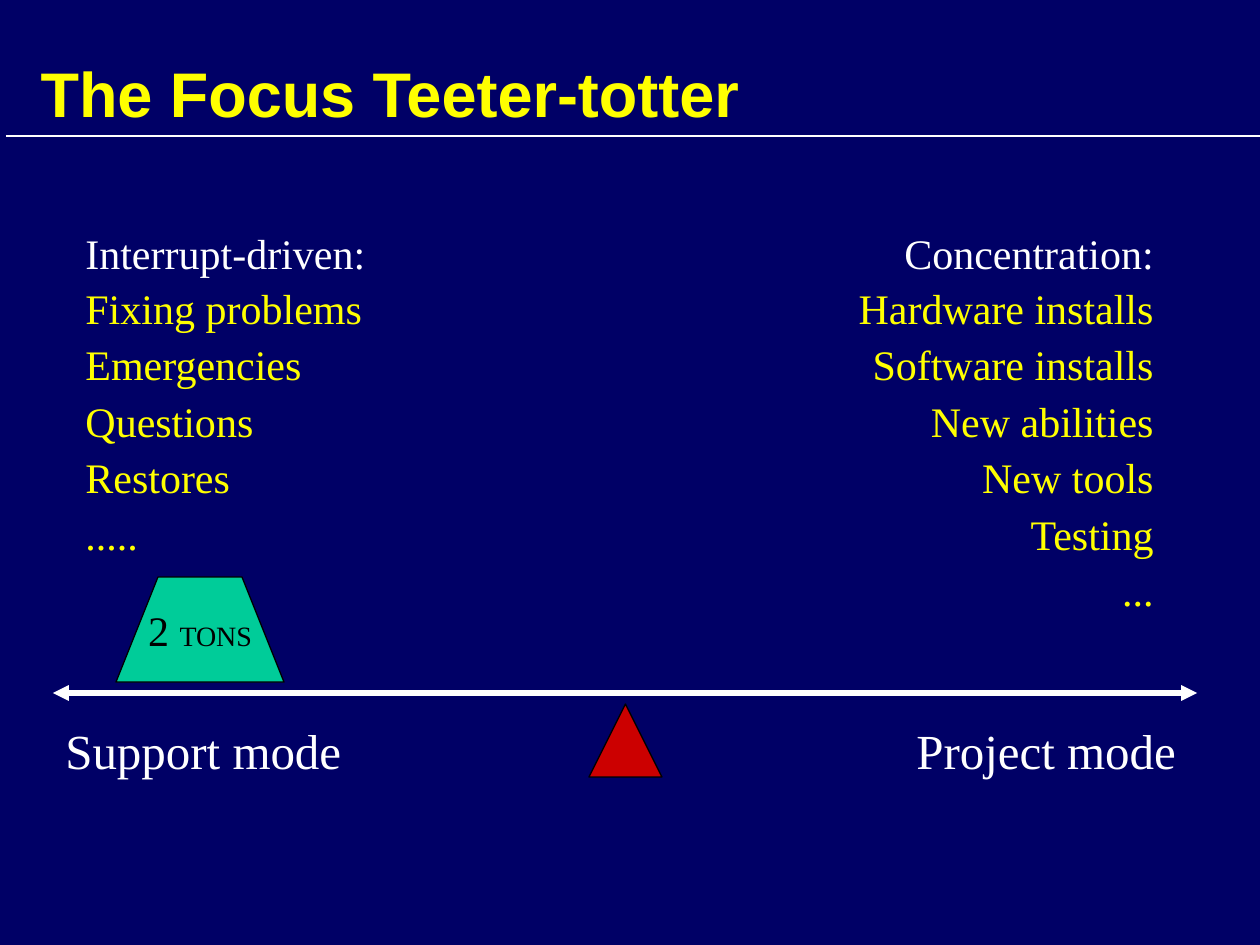
from dataclasses import dataclass

from lxml import etree
from pptx import Presentation
from pptx import util as u
from pptx.dml.color import RGBColor
from pptx.enum import shapes, text
from pptx.oxml.ns import qn

SCALE = 914400 / 126


@dataclass(frozen=True)
class Theme:
    """Colours, fonts and type sizes of the slide."""
    background: str = "000066"
    heading: str = "FFFF00"
    plain: str = "FFFFFF"
    outline: str = "000000"
    weight: str = "00CC99"
    pivot: str = "CC0000"
    heading_font: str = "Arial"
    body_font: str = "Times New Roman"
    title_size: int = 36
    mode_size: int = 28
    body_size: int = 24
    unit_size: int = 16


THEME = Theme()


def px(value):
    """Turn px into EMU."""
    return u.Emu(round(value * SCALE))


def color(value):
    """Turn a hex string into a colour."""
    return RGBColor.from_string(value)


def style_font(font, size, value, name=THEME.body_font, bold=False):
    """Set the typeface, size and colour of a font."""
    font.name, font.size, font.bold = name, u.Pt(size), bold
    font.color.rgb = color(value)


def style_shape(shape, fill):
    """Give a shape a flat fill and a thin outline."""
    shape.shadow.inherit = False
    shape.fill.solid()
    shape.fill.fore_color.rgb = color(fill)
    shape.line.color.rgb = color(THEME.outline)
    shape.line.width = u.Pt(0.75)


def add_text(slide, box, lines, size, value, align=text.PP_ALIGN.LEFT,
             line_spacing=None, space_before=0, wrap=True):
    """Add a text box with one paragraph for each line."""
    frame = slide.shapes.add_textbox(*map(px, box)).text_frame
    frame.word_wrap = wrap
    frame.auto_size = text.MSO_AUTO_SIZE.SHAPE_TO_FIT_TEXT
    frame.text = "\n".join(lines)
    for index, paragraph in enumerate(frame.paragraphs):
        paragraph.alignment = align
        paragraph.line_spacing = line_spacing
        if index:
            paragraph.space_before = u.Pt(space_before)
        for run in paragraph.runs:
            style_font(run.font, size, value)


def add_line(slide, start, end, width, arrows=False):
    """Add a straight line, with arrowheads at both ends on request."""
    line = slide.shapes.add_connector(
        shapes.MSO_CONNECTOR.STRAIGHT, *map(px, (*start, *end)))
    line.line.color.rgb = color(THEME.plain)
    line.line.width = u.Pt(width)
    if arrows:
        outline = line.line._get_or_add_ln()
        for tag in ("a:headEnd", "a:tailEnd"):
            etree.SubElement(outline, qn(tag), type="triangle")
    etree.SubElement(line._element.spPr, qn("a:effectLst"))


def add_title(slide, box, title):
    """Place the title and the rule that crosses its lower part."""
    left, top, width, height = box
    shape = slide.shapes.title
    shape.left, shape.top, shape.width, shape.height = map(px, box)
    frame = shape.text_frame
    frame.text = title
    frame.word_wrap = True
    frame.vertical_anchor = text.MSO_ANCHOR.MIDDLE
    paragraph = frame.paragraphs[0]
    paragraph.alignment = text.PP_ALIGN.LEFT
    paragraph.line_spacing = 1.3
    style_font(paragraph.runs[0].font, THEME.title_size, THEME.heading,
               THEME.heading_font, bold=True)
    add_line(slide, (left - 22, top + 122), (1260, top + 122), 1.5)


def add_column(slide, box, heading, heading_box, items, align):
    """Place a heading and the list of tasks below it."""
    left, top, width, height = box
    offset, heading_width = heading_box
    add_text(slide, (left + offset, top, heading_width, 63), [heading],
             THEME.body_size, THEME.plain, wrap=False)
    add_text(slide, (left, top + 73, width, height - 73), items,
             THEME.body_size, THEME.heading, align, 0.6, 15)


def add_weight(slide, box):
    """Place the weight that holds down one end of the beam."""
    left, top, width, height = box
    bottom, inset = top + height, width // 4
    builder = slide.shapes.build_freeform(left, bottom, scale=SCALE)
    builder.add_line_segments([(left + width, bottom),
                               (left + width - inset, top),
                               (left + inset, top)])
    shape = builder.convert_to_shape()
    style_shape(shape, THEME.weight)
    frame = shape.text_frame
    frame.word_wrap = False
    frame.vertical_anchor = text.MSO_ANCHOR.MIDDLE
    paragraph = frame.paragraphs[0]
    paragraph.alignment = text.PP_ALIGN.CENTER
    for words, size in (("2 ", THEME.body_size), ("TONS", THEME.unit_size)):
        run = paragraph.add_run()
        run.text = words
        style_font(run.font, size, THEME.outline)


def add_teeter_totter(slide, box):
    """Place the beam, its pivot, the weight and the two mode labels."""
    left, top, width, height = box
    beam = top + 116
    add_line(slide, (left, beam), (left + width, beam), 3, arrows=True)
    pivot = slide.shapes.add_shape(
        shapes.MSO_SHAPE.ISOSCELES_TRIANGLE,
        *map(px, (left + width // 2 - 36, beam + 11, 73, 73)))
    style_shape(pivot, THEME.pivot)
    add_weight(slide, (left + 63, top, 168, 105))
    for offset, label_width, label in ((0, 305, "Support mode"),
                                       (width - 293, 293, "Project mode")):
        add_text(slide, (left + offset, beam + 21, label_width, 72), [label],
                 THEME.mode_size, THEME.plain)


def main():
    """Build and save the slide."""
    presentation = Presentation()
    presentation.slide_width, presentation.slide_height = px(1260), px(945)
    slide = presentation.slides.add_slide(presentation.slide_layouts[5])
    slide.background.fill.solid()
    slide.background.fill.fore_color.rgb = color(THEME.background)
    add_title(slide, (28, 14, 1071, 134), "The Focus Teeter-totter")
    add_column(slide, (73, 221, 347, 398), "Interrupt-driven:", (0, 305),
               ["Fixing problems", "Emergencies", "Questions", "Restores",
                "....."], text.PP_ALIGN.LEFT)
    add_column(slide, (819, 221, 347, 568), "Concentration:", (73, 275),
               ["Hardware installs", "Software installs", "New abilities",
                "New tools", "Testing", "..."], text.PP_ALIGN.RIGHT)
    add_teeter_totter(slide, (53, 577, 1144, 209))
    presentation.save("out.pptx")


if __name__ == "__main__":
    main()
